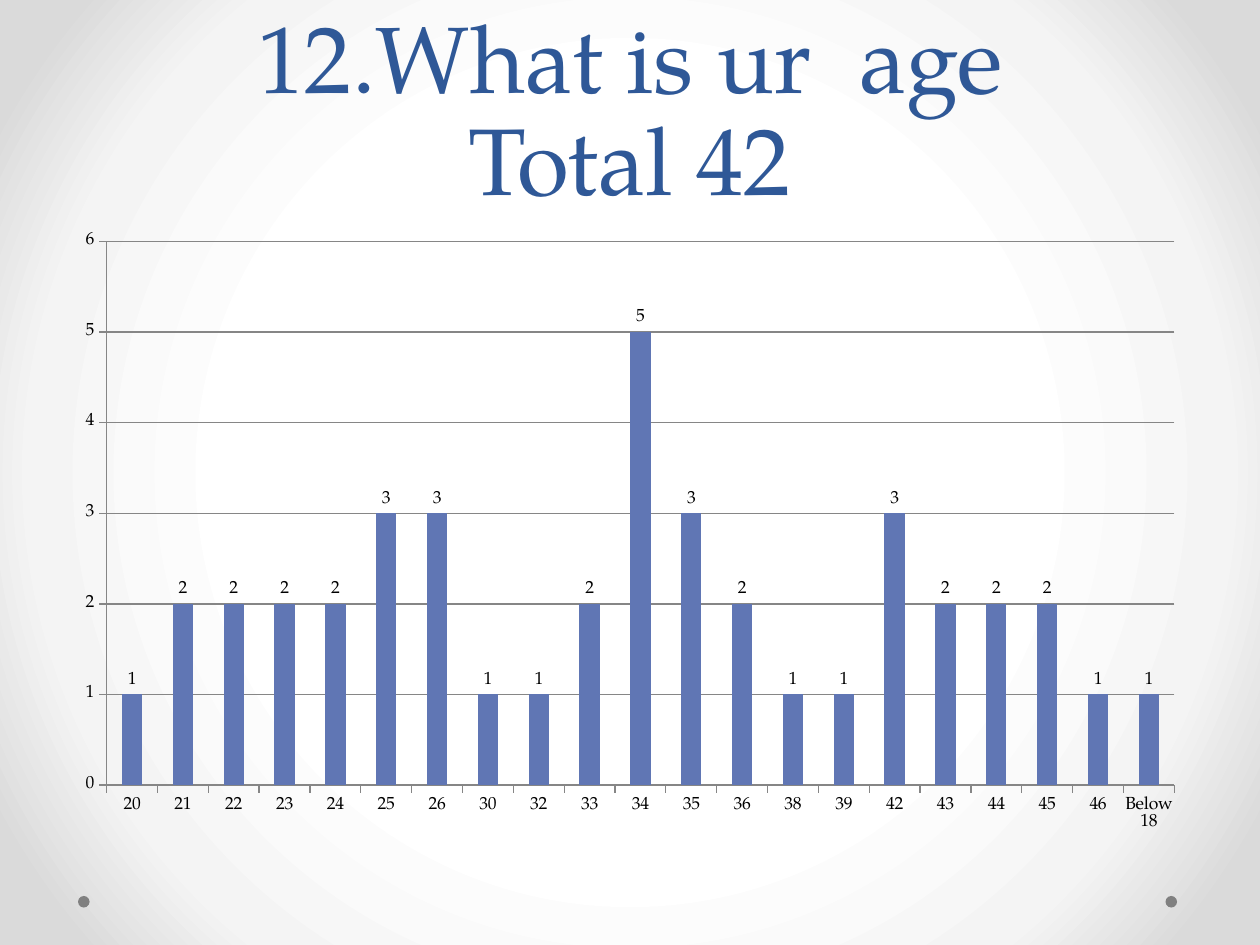
import pptx
import pptx.chart.data
import pptx.dml.color
import pptx.enum.chart
import pptx.enum.shapes
import pptx.enum.text
import pptx.oxml
import pptx.oxml.ns
import pptx.util

Pt = pptx.util.Pt
RGBColor = pptx.dml.color.RGBColor
BLUE_TITLE = RGBColor(0x2F, 0x58, 0x97)
BLUE_COLUMN = RGBColor(0x60, 0x76, 0xB4)
BLACK = RGBColor(0x00, 0x00, 0x00)
GREY_DOT = RGBColor(0x80, 0x80, 0x80)
GREY_LINE = RGBColor(0x86, 0x86, 0x86)
BACKGROUND_STOPS = {
    50: RGBColor(0xFF, 0xFF, 0xFF),
    76: RGBColor(0xF4, 0xF4, 0xF4),
    92: RGBColor(0xDA, 0xDA, 0xDA),
}
FONT = "TeX Gyre Pagella"
AGE_COUNTS = {
    "20": 1, "21": 2, "22": 2, "23": 2, "24": 2, "25": 3, "26": 3,
    "30": 1, "32": 1, "33": 2, "34": 5, "35": 3, "36": 2, "38": 1,
    "39": 1, "42": 3, "43": 2, "44": 2, "45": 2, "46": 1, "Below 18": 1,
}


def set_format(target, values):
    """Set every named attribute of the target."""
    for name, value in values.items():
        setattr(target, name, value)


def set_font(font, size, color):
    """Give a font the slide typeface, a size and a colour."""
    set_format(font, {"name": FONT, "size": Pt(size), "bold": False})
    font.color.rgb = color


def paint_background(slide):
    """Fill the background with a gradient from the centre outwards."""
    slide.background.fill.gradient()
    gradient = slide.element.find(".//" + pptx.oxml.ns.qn("a:gradFill"))
    stops = "".join(
        f'<a:gs pos="{position * 1000}"><a:srgbClr val="{color}"/></a:gs>'
        for position, color in BACKGROUND_STOPS.items()
    )
    radial = pptx.oxml.parse_xml(
        f'<a:gradFill {pptx.oxml.ns.nsdecls("a")} rotWithShape="1">'
        f'<a:gsLst>{stops}</a:gsLst><a:path path="circle">'
        '<a:fillToRect l="50000" t="50000" r="50000" b="50000"/>'
        '</a:path></a:gradFill>'
    )
    gradient.getparent().replace(gradient, radial)


def add_corner_dots(slide, left, top, width, height):
    """Place a small dot at each end of the box."""
    for dot_left in (left, left + width - height):
        dot = slide.shapes.add_shape(
            pptx.enum.shapes.MSO_SHAPE.OVAL,
            Pt(dot_left), Pt(top), Pt(height), Pt(height),
        )
        dot.shadow.inherit = False
        dot.fill.solid()
        dot.fill.fore_color.rgb = GREY_DOT
        dot.line.fill.background()


def add_title(slide, left, top, width, height):
    """Write the two-line question at the bottom of the box."""
    shape = slide.shapes.add_textbox(Pt(left), Pt(top), Pt(width), Pt(height))
    set_format(shape.text_frame, {
        "word_wrap": True,
        "vertical_anchor": pptx.enum.text.MSO_ANCHOR.BOTTOM,
    })
    paragraph = shape.text_frame.paragraphs[0]
    paragraph.text = "12.What is ur  age\vTotal 42"
    set_format(paragraph, {
        "alignment": pptx.enum.text.PP_ALIGN.CENTER,
        "line_spacing": Pt(58),
    })
    for run in paragraph.runs:
        set_font(run.font, 54, BLUE_TITLE)


def add_age_chart(slide, left, top, width, height):
    """Draw the number of answers for each age as columns."""
    data = pptx.chart.data.CategoryChartData()
    data.categories = list(AGE_COUNTS)
    data.add_series("Series 1", list(AGE_COUNTS.values()))
    chart = slide.shapes.add_chart(
        pptx.enum.chart.XL_CHART_TYPE.COLUMN_CLUSTERED,
        Pt(left), Pt(top), Pt(width), Pt(height), data,
    ).chart
    set_format(chart, {"has_legend": False, "has_title": False})
    set_font(chart.font, 10, BLACK)

    plot = chart.plots[0]
    set_format(plot, {
        "gap_width": 150, "vary_by_categories": False, "has_data_labels": True,
    })
    set_format(plot.data_labels, {
        "show_value": True,
        "position": pptx.enum.chart.XL_LABEL_POSITION.OUTSIDE_END,
    })
    column_fill = plot.series[0].format.fill
    column_fill.solid()
    column_fill.fore_color.rgb = BLUE_COLUMN

    set_format(chart.value_axis, {
        "minimum_scale": 0, "maximum_scale": 6, "major_unit": 1,
        "has_major_gridlines": True,
    })
    for axis in (chart.category_axis, chart.value_axis):
        axis.major_tick_mark = pptx.enum.chart.XL_TICK_MARK.OUTSIDE
    for line in (
        chart.category_axis.format.line,
        chart.value_axis.format.line,
        chart.value_axis.major_gridlines.format.line,
    ):
        line.color.rgb = GREY_LINE
        line.width = Pt(0.75)


def build_slide(presentation):
    """Add the age question slide to the presentation."""
    slide = presentation.slides.add_slide(presentation.slide_layouts[6])
    paint_background(slide)
    add_corner_dots(slide, 44.6, 512, 628, 6.6)
    add_title(slide, 36, 0, 648, 126)
    add_age_chart(slide, 36, 126, 648, 356.4)


presentation = pptx.Presentation()
set_format(presentation, {"slide_width": Pt(720), "slide_height": Pt(540)})
build_slide(presentation)
presentation.save("out.pptx")
